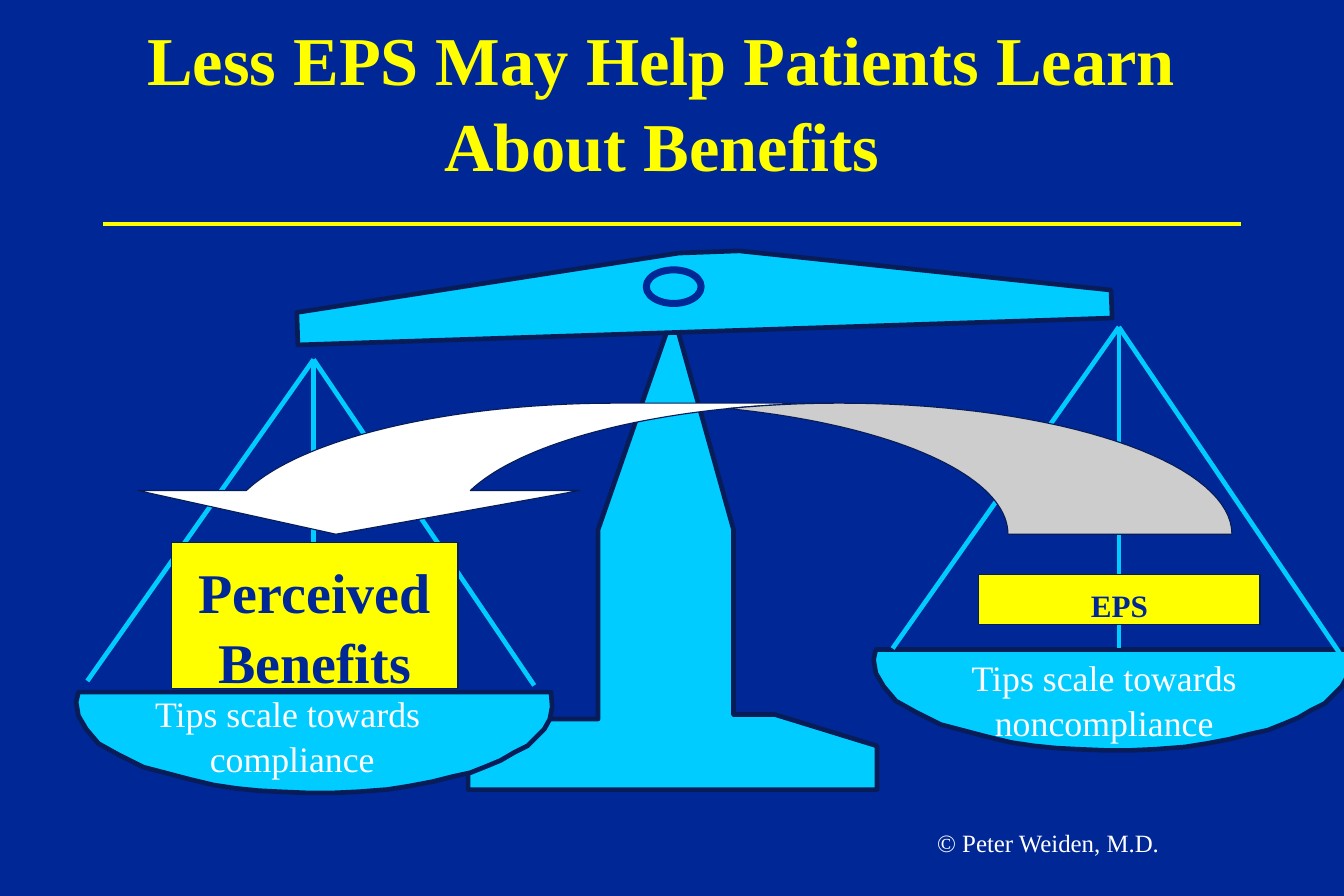
from math import acos, asin, cos, degrees, radians, sin

from lxml import etree
from pptx import Presentation
from pptx.dml.color import RGBColor
from pptx.enum.shapes import MSO_CONNECTOR, MSO_SHAPE
from pptx.enum.text import MSO_ANCHOR, PP_ALIGN
from pptx.oxml.ns import qn
from pptx.util import Inches, Pt

STRAIGHT = MSO_CONNECTOR.STRAIGHT
RECT, OVAL = MSO_SHAPE.RECTANGLE, MSO_SHAPE.OVAL
TOP = MSO_ANCHOR.TOP
LEFT, CENTER = PP_ALIGN.LEFT, PP_ALIGN.CENTER
FONT = "Times New Roman"
COLORS = {"navy": "002796", "ink": "081D58", "sky": "00CCFF",
          "yellow": "FFFF00", "white": "FFFFFF", "gray": "CDCDCD"}

POST = [(6.01, 2.8), (6.55, 4.73), (6.55, 6.38), (6.92, 6.38), (7.83, 6.66),
        (7.83, 7.05), (4.18, 7.05), (4.18, 6.7), (4.91, 6.42), (5.34, 6.42),
        (5.34, 4.73)]
BEAM = [(2.66, 3.08), (9.93, 2.84), (9.92, 2.59), (6.6, 2.24), (6.06, 2.26),
        (2.65, 2.79)]
PAN = [(0.7, 6.18), (0.68, 6.27), (0.7, 6.39), (0.77, 6.51), (0.88, 6.64),
       (1.06, 6.74), (1.28, 6.85), (1.51, 6.91), (1.7, 6.96), (1.91, 7.01),
       (2.11, 7.04), (2.31, 7.06), (2.5, 7.07), (2.74, 7.08), (2.98, 7.08),
       (3.2, 7.07), (3.46, 7.05), (3.65, 7.02), (3.86, 6.98), (4.06, 6.93),
       (4.2, 6.9), (4.35, 6.84), (4.47, 6.79), (4.59, 6.72), (4.71, 6.66),
       (4.78, 6.59), (4.86, 6.51), (4.91, 6.42), (4.93, 6.31), (4.92, 6.18)]
HOOK = (2.8, 3.21)
ENDS = [(4.77, 6.12), (2.8, 6.08), (0.78, 6.08)]
HEAD = [(1.23, 4.38), (3, 4.77), (5.18, 4.38)]


def color(name):
    """Return the named colour."""
    return RGBColor.from_string(COLORS[name])


def paint(shape, fill, line, width):
    """Fill and outline a shape without a shadow."""
    shape.shadow.inherit = False
    shape.fill.solid()
    shape.fill.fore_color.rgb = color(fill)
    shape.line.color.rgb = color(line)
    shape.line.width = Pt(width)


def add_line(slide, start, end, tint):
    """Draw a straight line."""
    line = slide.shapes.add_connector(
        STRAIGHT, *(Inches(n) for n in (*start, *end)))
    line.line.color.rgb = color(tint)
    line.line.width = Pt(3)
    etree.SubElement(line._element.spPr, qn("a:effectLst"))


def add_free(slide, points, fill="sky", width=3):
    """Draw a closed outline through points."""
    spots = [(Inches(x), Inches(y)) for x, y in points]
    pen = slide.shapes.build_freeform(*spots[0])
    pen.add_line_segments(spots[1:], close=True)
    paint(pen.convert_to_shape(), fill, "ink", width)


def write(shape, text, size, tint, bold=False, align=CENTER):
    """Set one paragraph of text from the top of a shape."""
    frame = shape.text_frame
    frame.word_wrap = True
    frame.vertical_anchor = TOP
    frame.margin_left = frame.margin_right = Inches(0.1)
    frame.margin_top = Inches(0.06 + size / 800)
    frame.margin_bottom = Inches(0.06)
    para = frame.paragraphs[0]
    para.text = text
    para.alignment = align
    para.line_spacing = 1.05
    font = para.font
    font.name, font.size, font.bold = FONT, Pt(size), bold
    font.color.rgb = color(tint)


def add_text(slide, box, *args, **style):
    """Place a text box."""
    write(slide.shapes.add_textbox(*(Inches(n) for n in box)), *args, **style)


def add_shape(slide, kind, box, fill, line, width):
    """Place a preset shape."""
    shape = slide.shapes.add_shape(kind, *(Inches(n) for n in box))
    paint(shape, fill, line, width)
    return shape


def move(points, dx, dy):
    """Shift points."""
    return [(x + dx, y + dy) for x, y in points]


def add_side(slide, pan, cord, box, label, size, tip, note):
    """Draw one pan with its cords, label and note."""
    add_free(slide, move(PAN, *pan))
    hook, *ends = move([HOOK, *ENDS], *cord)
    for end in ends:
        add_line(slide, hook, end, "sky")
    card = add_shape(slide, RECT, box, "yellow", "ink", 0.75)
    write(card, label, size, "navy", bold=True)
    add_text(slide, tip, note, 23, "white")


def arc(mid, start, end, steps=40):
    """Return points along an arc of the arrow, by angle in degrees."""
    turns = [radians(start + (end - start) * i / steps)
             for i in range(steps + 1)]
    return [(mid + 3.5 * cos(t), 4.77 - 1.17 * sin(t)) for t in turns]


def add_arrow(slide):
    """Draw the curved arrow with its shaded tail."""
    neck = 180 - degrees(asin(1 / 3))
    cross = degrees(acos(1 / 3.5))
    add_free(slide, arc(5.5, 90, neck) + HEAD + arc(7.5, neck, 90),
             "white", 0.75)
    add_free(slide, arc(7.5, 0, 180 - cross) + arc(5.5, cross, 0),
             "gray", 0.75)


def main():
    """Build the slide."""
    deck = Presentation()
    deck.slide_width, deck.slide_height = Inches(12), Inches(8)
    slide = deck.slides.add_slide(deck.slide_layouts[6])
    back = slide.background.fill
    back.solid()
    back.fore_color.rgb = color("navy")

    add_line(slide, (0.92, 2), (11.08, 2), "yellow")
    add_free(slide, POST)
    add_text(slide, (0.92, 0, 9.98, 1.42),
             "Less EPS May Help Patients Learn About Benefits",
             44, "yellow", bold=True)
    add_free(slide, BEAM)
    add_shape(slide, OVAL, (5.77, 2.41, 0.49, 0.3), "sky", "navy", 4.5)
    add_side(slide, (0, 0), (0, 0), (1.53, 4.84, 2.56, 1.31),
             "Perceived Benefits", 36, (0.5, 6.07, 4.22, 0.88),
             "Tips scale towards \vcompliance")
    add_side(slide, (7.12, -0.38), (7.19, -0.29), (8.74, 5.13, 2.51, 0.45),
             "EPS", 20, (7.75, 5.75, 4.22, 0.88),
             "Tips scale towards noncompliance")
    add_arrow(slide)
    add_text(slide, (8.27, 7.3, 3.73, 0.37), "© Peter Weiden, M.D.",
             16, "white", align=LEFT)
    deck.save("out.pptx")


if __name__ == "__main__":
    main()
